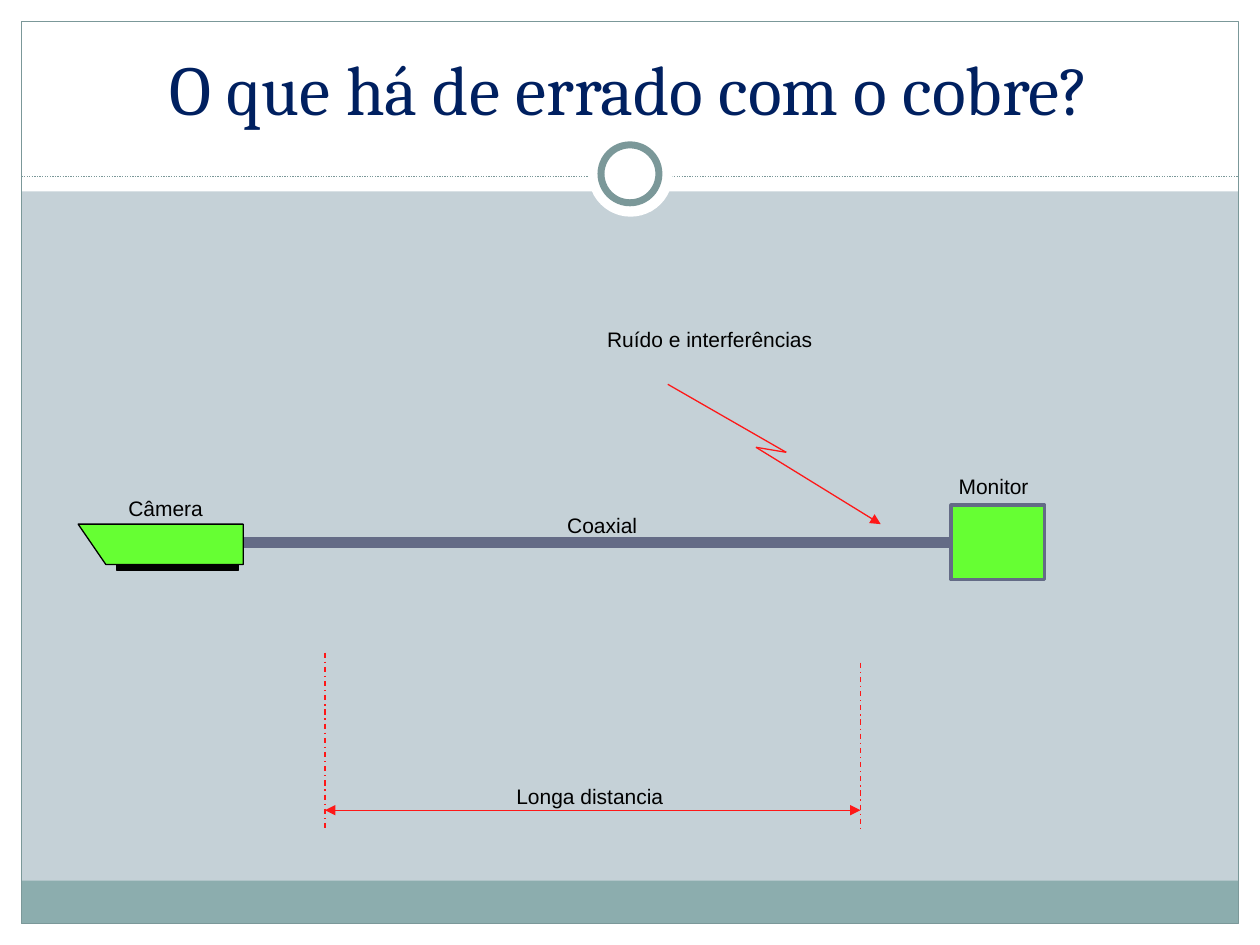
"""Build the slide about the limits of copper cabling, on a grid of 100 columns by 75 rows."""
from typing import NamedTuple, Optional

from lxml import etree
from pptx import Presentation
from pptx.dml.color import RGBColor
from pptx.enum.dml import MSO_LINE
from pptx.enum.shapes import MSO_CONNECTOR, MSO_SHAPE
from pptx.enum.text import MSO_ANCHOR, MSO_AUTO_SIZE, PP_ALIGN
from pptx.oxml.ns import qn
from pptx.util import Inches, Pt

RECT, OVAL = MSO_SHAPE.RECTANGLE, MSO_SHAPE.OVAL
STRAIGHT = MSO_CONNECTOR.STRAIGHT
DOTS, DASH_DOT = MSO_LINE.ROUND_DOT, MSO_LINE.DASH_DOT
TOP, MIDDLE, BOTTOM = MSO_ANCHOR.TOP, MSO_ANCHOR.MIDDLE, MSO_ANCHOR.BOTTOM
LEFT, CENTER = PP_ALIGN.LEFT, PP_ALIGN.CENTER
FIT, NO_FIT = MSO_AUTO_SIZE.SHAPE_TO_FIT_TEXT, MSO_AUTO_SIZE.NONE

COLS, ROWS = 100, 75
WIDTH, HEIGHT = Inches(10), Inches(7.5)
EDGE = 1.7
WHITE, BLACK, TEAL, SLATE = "FFFFFF", "000000", "7B9899", "646B86"
GREEN, RED, NAVY = "66FF33", "FE1818", "002060"


class Block(NamedTuple):
    """A preset shape on the grid."""
    col: float
    row: float
    cols: float
    rows: float
    fill: Optional[str] = None
    line: Optional[str] = None
    weight: float = 0.75
    kind: int = RECT


class Stroke(NamedTuple):
    """A straight line between two grid points."""
    col1: float
    row1: float
    col2: float
    row2: float
    color: str = RED
    weight: float = 0.75
    dash: Optional[int] = None
    arrows: tuple = ()


class Label(NamedTuple):
    """A text box on the grid."""
    text: str
    col: float
    row: float
    cols: float
    rows: float = 3
    size: float = 12
    font: str = "Arial"
    color: str = BLACK
    align: int = LEFT
    anchor: int = TOP
    wrap: bool = False
    fit: int = FIT


FRAME = [
    Block(0, 73.3, COLS, EDGE, WHITE),
    Block(0, 0, COLS, 15.2, WHITE),
    Block(0, 0, EDGE, ROWS, WHITE),
    Block(COLS - EDGE, 0, EDGE, ROWS, WHITE),
    Block(EDGE, 69.9, COLS - 2 * EDGE, 3.4, "8CADAE"),
    Block(EDGE, EDGE, COLS - 2 * EDGE, 71.6, None, TEAL),
]
DIVIDER = Stroke(EDGE, 14, COLS - EDGE, 14, TEAL, dash=DOTS)
RINGS = [
    Block(46.7, 10.5, 6.7, 6.7, WHITE, kind=OVAL),
    Block(47.7, 11.5, 4.6, 4.6, WHITE, TEAL, 4, OVAL),
]
MONITOR = Block(75.5, 40.1, 7.4, 5.9, GREEN, SLATE, 2)
CABLE_ROW = MONITOR.row + MONITOR.rows / 2
COAXIAL = Stroke(19.2, CABLE_ROW, MONITOR.col, CABLE_ROW, SLATE, 6)
CAMERA_BASE = Block(9.3, 44.5, 9.6, 0.8, BLACK, BLACK)
CAMERA = [(6.2, 41.6), (19.3, 41.6), (19.3, 44.8), (8.4, 44.8)]
DISTANCE = [
    Stroke(25.8, 51.8, 25.8, 66, dash=DASH_DOT),
    Stroke(68.3, 52.6, 68.3, 66, dash=DASH_DOT),
    Stroke(25.8, 64.3, 68.3, 64.3, arrows=("headEnd", "tailEnd")),
]
NOISE = [
    Stroke(60, 35.5, 69.9, 41.6, arrows=("tailEnd",)),
    Stroke(53, 30.5, 62.4, 35.9),
    Stroke(62.4, 35.9, 60, 35.5),
]
LABELS = [
    Label("Monitor", 75.1, 37.1, 7.6),
    Label("Longa distancia", 40, 61.7, 13.7),
    Label("Câmera", 9.2, 38.8, 7.9),
    Label("Coaxial", 42.8, 40.2, 10, align=CENTER, anchor=MIDDLE),
    Label("Ruído e interferências", 47.2, 25.4, 18.4),
    Label("O que há de errado com o cobre?", 3.3, 2.5, 93.3, 8.3, 40, "Cambria",
          NAVY, CENTER, BOTTOM, True, NO_FIT),
]


def x(col: float) -> int:
    """Turn columns into a length."""
    return round(WIDTH * col / COLS)


def y(row: float) -> int:
    """Turn rows into a length."""
    return round(HEIGHT * row / ROWS)


def rgb(color: str) -> RGBColor:
    """Turn a hex string into a colour."""
    return RGBColor.from_string(color)


def apply(target, **values) -> None:
    """Set several attributes on one object."""
    for name, value in values.items():
        setattr(target, name, value)


def paint(sp, fill: Optional[str], line: Optional[str], weight: float):
    """Give a shape its fill and outline."""
    sp.shadow.inherit = False
    for fmt, color in ((sp.fill, fill), (sp.line.fill, line)):
        if color:
            fmt.solid()
            fmt.fore_color.rgb = rgb(color)
        else:
            fmt.background()
    if line:
        sp.line.width = Pt(weight)
    return sp


def add_block(s, b: Block):
    """Draw a preset shape."""
    sp = s.shapes.add_shape(b.kind, x(b.col), y(b.row), x(b.cols), y(b.rows))
    return paint(sp, b.fill, b.line, b.weight)


def add_stroke(s, k: Stroke):
    """Draw a line with its dash and arrowheads."""
    sp = s.shapes.add_connector(STRAIGHT, x(k.col1), y(k.row1), x(k.col2), y(k.row2))
    sp.line.color.rgb = rgb(k.color)
    apply(sp.line, width=Pt(k.weight), dash_style=k.dash)
    ln = sp.line._get_or_add_ln()
    for end in k.arrows:
        etree.SubElement(ln, qn(f"a:{end}"), type="triangle")
    etree.SubElement(sp._element.spPr, qn("a:effectLst"))
    return sp


def add_polygon(s, points: list, fill: str, line: str):
    """Draw a closed outline through grid points."""
    start, *rest = [(x(col), y(row)) for col, row in points]
    builder = s.shapes.build_freeform(*start)
    builder.add_line_segments(rest, close=True)
    return paint(builder.convert_to_shape(), fill, line, 0.75)


def add_label(s, t: Label):
    """Write a one-paragraph text box."""
    sp = s.shapes.add_textbox(x(t.col), y(t.row), x(t.cols), y(t.rows))
    tf = sp.text_frame
    apply(tf, word_wrap=t.wrap, auto_size=t.fit, vertical_anchor=t.anchor)
    p = tf.paragraphs[0]
    p.alignment = t.align
    r = p.add_run()
    r.text = t.text
    apply(r.font, size=Pt(t.size), name=t.font)
    r.font.color.rgb = rgb(t.color)
    return sp


def main() -> None:
    """Build and save the slide."""
    prs = Presentation()
    apply(prs, slide_width=WIDTH, slide_height=HEIGHT)
    s = prs.slides.add_slide(prs.slide_layouts[6])
    s.background.fill.solid()
    s.background.fill.fore_color.rgb = rgb("C5D1D7")
    for block in FRAME:
        add_block(s, block)
    add_stroke(s, DIVIDER)
    for ring in RINGS:
        add_block(s, ring)
    monitor = add_block(s, MONITOR)
    for stroke in DISTANCE:
        add_stroke(s, stroke)
    add_stroke(s, COAXIAL).end_connect(monitor, 1)
    add_block(s, CAMERA_BASE)
    add_polygon(s, CAMERA, GREEN, BLACK)
    for stroke in NOISE:
        add_stroke(s, stroke)
    for label in LABELS:
        add_label(s, label)
    prs.save("out.pptx")


if __name__ == "__main__":
    main()
